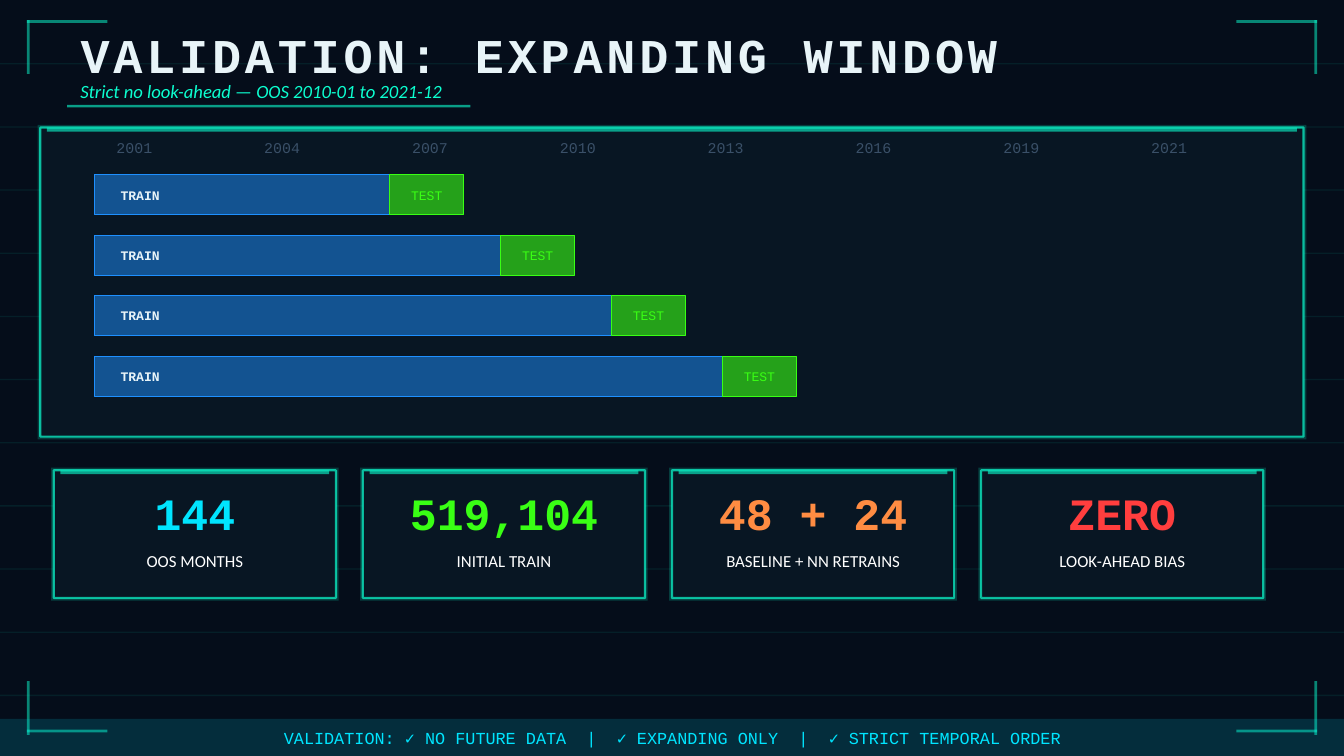
from lxml import etree
from pptx import Presentation
from pptx import util as u
from pptx.dml.color import RGBColor
from pptx.enum import shapes, text
from pptx.oxml import ns

COLORS = {
    "bg": "050D1A", "panel": "091422", "teal": "0CFFD0", "cyan": "00E5FF",
    "blue": "1E90FF", "green": "39FF14", "orange": "FF8C42", "red": "FF3E3E",
    "ice": "E8F4F8", "white": "FFFFFF", "muted": "3A5068",
}
MONO, SANS = "Courier New", "Calibri"
GRID = 2.54        # cm in one layout unit; the slide is 10 units wide
YEAR = 1.1 / 4     # layout units for one year of a window


def grid(n):
    return u.Cm(n * GRID)


def rgb(name):
    return RGBColor.from_string(COLORS[name])


def paint(fill, color, alpha):
    """Solid fill with an opacity in percent."""
    fill.solid()
    fill.fore_color.rgb = rgb(color)
    return alpha * 1000


def set_alpha(parent, value):
    clr = parent.find(ns.qn("a:solidFill")).find(ns.qn("a:srgbClr"))
    etree.SubElement(clr, ns.qn("a:alpha")).set("val", str(value))


def add_box(s, x, y, w, h, color, alpha=100, line=None, width=0.5, line_alpha=100):
    sp = s.shapes.add_shape(shapes.MSO_SHAPE.RECTANGLE,
                            grid(x), grid(y), grid(w), grid(h))
    sp.shadow.inherit = False
    value = paint(sp.fill, color, alpha)
    set_alpha(sp.element.spPr, value)
    if line is None:
        sp.line.fill.background()
    else:
        value = paint(sp.line.fill, line, line_alpha)
        sp.line.width = u.Pt(width)
        set_alpha(sp.element.spPr.find(ns.qn("a:ln")), value)
    return sp


def write(sp, content, size, color, font=MONO, bold=False, italic=False,
          center=False, spacing=0):
    tf = sp.text_frame
    tf.word_wrap = True
    tf.auto_size = text.MSO_AUTO_SIZE.NONE
    tf.vertical_anchor = text.MSO_ANCHOR.MIDDLE
    p = tf.paragraphs[0]
    p.alignment = text.PP_ALIGN.CENTER if center else text.PP_ALIGN.LEFT
    r = p.add_run()
    r.text = content
    r.font.size = u.Pt(size)
    r.font.name = font
    r.font.bold = bold
    r.font.italic = italic
    r.font.color.rgb = rgb(color)
    if spacing:
        r.font._element.set("spc", str(spacing * 100))


def add_label(s, x, y, w, h, content, size, color, **fmt):
    sp = s.shapes.add_textbox(grid(x), grid(y), grid(w), grid(h))
    write(sp, content, size, color, **fmt)


def add_title(s, content):
    sp = s.shapes.title
    sp.left, sp.top, sp.width, sp.height = (grid(n) for n in (0.5, 0.18, 9, 0.45))
    write(sp, content, 26, "ice", bold=True, spacing=2)
    sp.element.getparent().append(sp.element)  # above the scan lines


def add_backdrop(s):
    for i in range(1, 12):
        add_box(s, 0, 0.47 * i, 10, 0.01, "teal", 8)
    # Corner brackets
    for bar_y, post_y in ((0.15, 0.15), (5.43, 5.07)):
        for bar_x, post_x in ((0.2, 0.2), (9.2, 9.78)):
            add_box(s, bar_x, bar_y, 0.6, 0.02, "teal", 50)
            add_box(s, post_x, post_y, 0.02, 0.4, "teal", 50)


def add_panel(s, x, y, w, h):
    """Glow, framed body and a bright top edge."""
    add_box(s, x - 0.02, y - 0.02, w + 0.04, h + 0.04, "teal", 20)
    add_box(s, x, y, w, h, "panel", 95, line="teal", width=1.2, line_alpha=70)
    add_box(s, x + 0.05, y, w - 0.1, 0.03, "teal", 60)


def add_window(s, y, years):
    """One expanding training window followed by its two-year test."""
    x, h, train, test = 0.7, 0.3, years * YEAR, 2 * YEAR
    add_box(s, x, y, train, h, "blue", 50, line="blue")
    add_label(s, x + 0.1, y, 1, h, "TRAIN", 7, "ice", bold=True)
    add_box(s, x + train, y, test, h, "green", 60, line="green")
    add_label(s, x + train, y, test, h, "TEST", 7, "green", center=True)


def add_stat(s, x, value, caption, color):
    y, w = 3.5, 2.1
    add_panel(s, x, y, w, 0.95)
    add_label(s, x, y + 0.08, w, 0.47, value, 24, color, bold=True, center=True)
    add_label(s, x, y + 0.48, w, 0.38, caption, 9, "white", font=SANS, center=True)


def main():
    prs = Presentation()
    prs.slide_width, prs.slide_height = u.Cm(25.4), u.Cm(14.29)
    s = prs.slides.add_slide(prs.slide_layouts[5])
    s.background.fill.solid()
    s.background.fill.fore_color.rgb = rgb("bg")
    add_backdrop(s)

    # Heading
    add_title(s, "VALIDATION: EXPANDING WINDOW")
    add_label(s, 0.5, 0.55, 9, 0.25, "Strict no look-ahead — OOS 2010-01 to 2021-12",
              10, "teal", font=SANS, italic=True)
    add_box(s, 0.5, 0.78, 3, 0.02, "teal", 60)

    # Timeline
    add_panel(s, 0.3, 0.95, 9.4, 2.3)
    years = (2001, 2004, 2007, 2010, 2013, 2016, 2019, 2021)
    for i, year in enumerate(years):
        add_label(s, 0.6 + 1.1 * i, 1, 0.8, 0.2, str(year), 8, "muted", center=True)
    for i in range(4):
        add_window(s, 1.3 + 0.45 * i, 8 + 3 * i)

    # Key figures
    stats = (
        ("144", "OOS MONTHS", "cyan"),
        ("519,104", "INITIAL TRAIN", "green"),
        ("48 + 24", "BASELINE + NN RETRAINS", "orange"),
        ("ZERO", "LOOK-AHEAD BIAS", "red"),
    )
    for i, stat in enumerate(stats):
        add_stat(s, 0.4 + 2.3 * i, *stat)

    # Footer
    add_box(s, 0, 5.35, 10, 0.28, "cyan", 15)
    checks = ("✓ NO FUTURE DATA", "✓ EXPANDING ONLY", "✓ STRICT TEMPORAL ORDER")
    add_label(s, 0.3, 5.35, 9.4, 0.28, "VALIDATION: " + "  |  ".join(checks),
              9, "cyan", center=True)

    prs.save("out.pptx")


if __name__ == "__main__":
    main()
